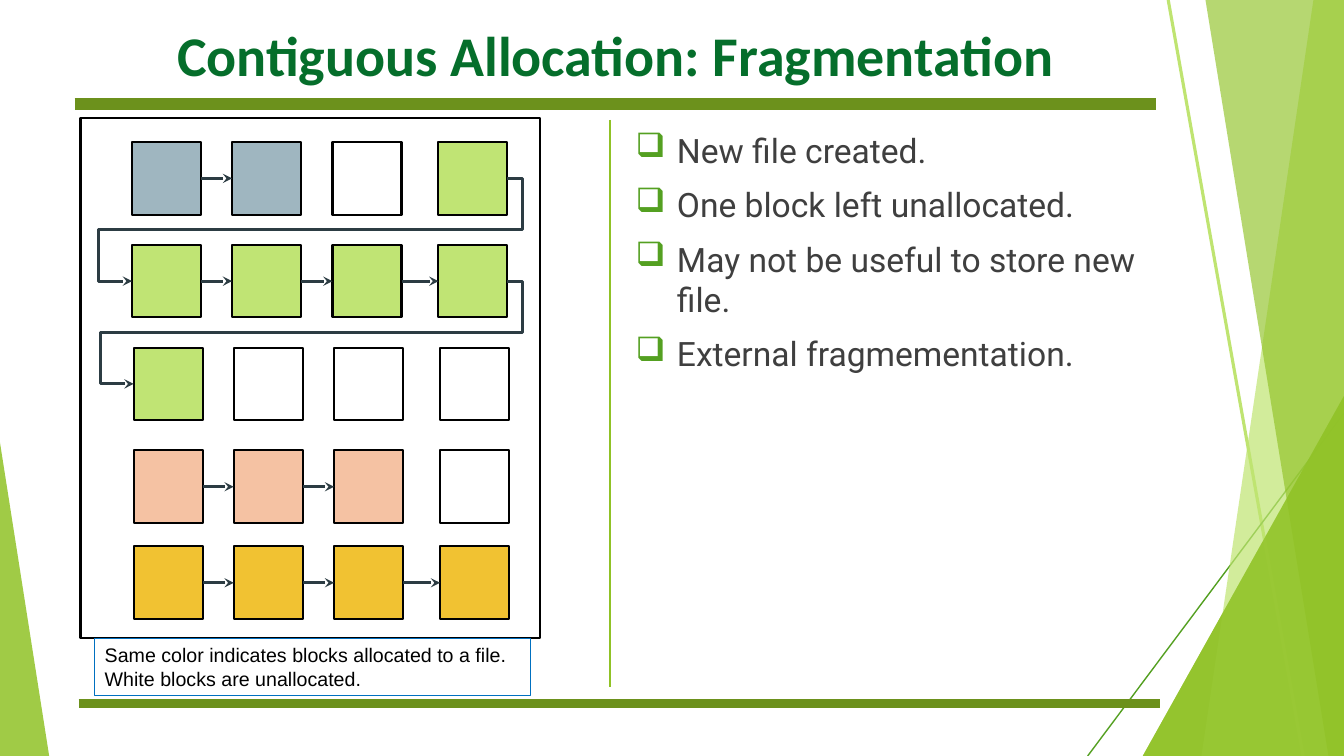
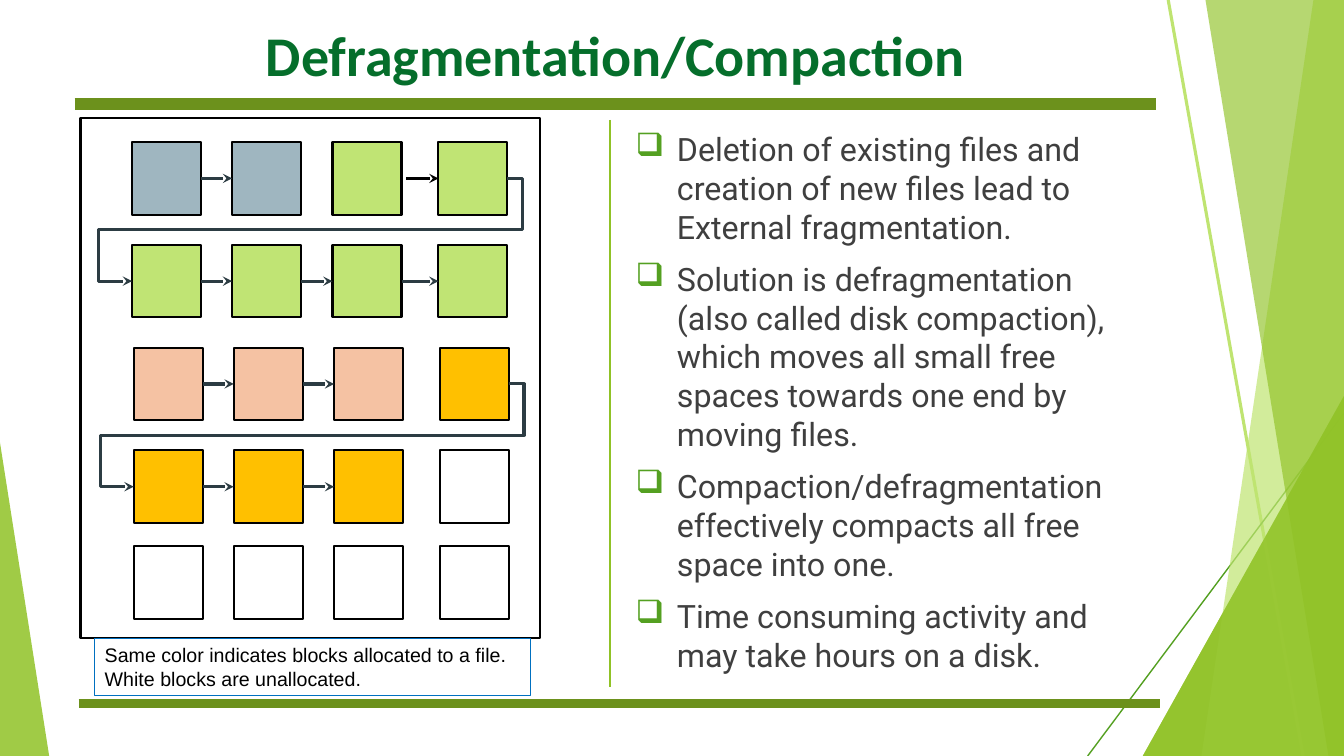
"""Build two slides on contiguous disk allocation and compaction."""
from dataclasses import dataclass, field

from lxml import etree
from pptx import Presentation
from pptx.dml.color import RGBColor
from pptx.enum import shapes, text
from pptx.oxml import ns
from pptx.util import Cm, Pt


@dataclass(frozen=True)
class Theme:
    """Hold the colours, fonts and type sizes of the deck."""
    green: str = "90C226"
    lime: str = "BFE471"
    leaf: str = "54A021"
    band: str = "6C911C"
    title: str = "056E2B"
    body: str = "3F3F3F"
    black: str = "000000"
    link: str = "2C3C43"
    note: str = "0070C0"
    head_font: str = "Calibri"
    body_font: str = "Roboto"
    note_font: str = "Arial"
    head_size: int = 40
    note_size: int = 14
    files: dict = field(default_factory=lambda: {
        "B": "9FB6C0", "G": "C0E474", "P": "F5C2A3", "Y": "F1C232", "O": "FFC000"})


THEME = Theme()
WIDE, HIGH = 33.87, 19.05
COLS = (3.33, 5.85, 8.38, 11.05)
ROWS = (3.58, 6.17, 8.76, 11.35, 13.77)
SIDE, TALL = 1.74, 1.83
NOTE = ("Same color indicates blocks allocated to a file.",
        "White blocks are unallocated.")
DECK = (
    ("Contiguous Allocation: Fragmentation", 24,
     ("New file created.",
      "One block left unallocated.",
      "May not be useful to store new file.",
      "External fragmementation."),
     ("BB.G", "GGGG", "G...", "PPP.", "YYYY"), ()),
    ("Defragmentation/Compaction", 23,
     ("Deletion of existing files and creation of new files lead to External fragmentation.",
      "Solution is defragmentation (also called disk compaction), which moves all "
      "small free spaces towards one end by moving files.",
      "Compaction/defragmentation effectively compacts all free space into one.",
      "Time consuming activity and may take hours on a disk."),
     ("BBGG", "GGGG", "PPPO", "OOO.", "...."), ((0, 2),)),
)


def rgb(code):
    """Turn a hex code into a colour."""
    return RGBColor.from_string(code)


def sub(node, tag, **attrs):
    """Append a DrawingML child to a node."""
    return etree.SubElement(node, ns.qn(tag), attrs)


def place(shape, left, top, width, height):
    """Move and size a shape in centimetres."""
    shape.left, shape.top = Cm(left), Cm(top)
    shape.width, shape.height = Cm(width), Cm(height)


def style(font, name, size, color, bold=False):
    """Set the look of a font."""
    font.name, font.size, font.bold = name, Pt(size), bold
    font.color.rgb = rgb(color)


def tint(shape, color, alpha):
    """Give a shape a see-through fill and no outline."""
    shape.shadow.inherit = False
    shape.line.fill.background()
    shape.fill.solid()
    shape.fill.fore_color.rgb = rgb(color)
    node = shape._element.spPr.find(".//" + ns.qn("a:srgbClr"))
    sub(node, "a:alpha", val=str(alpha * 1000))


def wedge(slide, box, lean, alpha):
    """Draw a triangle whose tip leans to one side."""
    shape = slide.shapes.add_shape(
        shapes.MSO_SHAPE.ISOSCELES_TRIANGLE, *map(Cm, box))
    shape.adjustments[0] = lean
    tint(shape, THEME.green, alpha)


def pane(slide, points, color, alpha):
    """Draw a see-through polygon."""
    first, *rest = [(Cm(x), Cm(y)) for x, y in points]
    build = slide.shapes.build_freeform(*first)
    build.add_line_segments(rest, close=True)
    tint(build.convert_to_shape(), color, alpha)


def line(slide, start, end, color, width, arrow=False, wrap=False):
    """Draw a straight or wrapping line, with an arrowhead if asked."""
    kind = shapes.MSO_CONNECTOR.ELBOW if wrap else shapes.MSO_CONNECTOR.STRAIGHT
    item = slide.shapes.add_connector(kind, *map(Cm, (*start, *end)))
    item.line.color.rgb = rgb(color)
    item.line.width = Pt(width)
    props = item._element.spPr
    if arrow:
        sub(props.find(ns.qn("a:ln")), "a:tailEnd", type="stealth")
    if wrap:
        shape = props.find(ns.qn("a:prstGeom"))
        shape.set("prst", "bentConnector5")
        guides = shape.find(ns.qn("a:avLst"))
        for index, value in enumerate((-4000, 50000, 108900), 1):
            sub(guides, "a:gd", name=f"adj{index}", fmla=f"val {value}")
    sub(props, "a:effectLst")


def rect(slide, box, edge, width, fill=None):
    """Draw an outlined rectangle."""
    shape = slide.shapes.add_shape(shapes.MSO_SHAPE.RECTANGLE, *map(Cm, box))
    shape.shadow.inherit = False
    shape.line.color.rgb = rgb(edge)
    shape.line.width = Pt(width)
    if fill:
        shape.fill.solid()
        shape.fill.fore_color.rgb = rgb(fill)
    else:
        shape.fill.background()
    return shape


def scene(slide):
    """Draw the facets and bands that all slides share."""
    corner = (28.8, 9.98, 5.07, 9.07)
    wedge(slide, corner, 1, 80)
    wedge(slide, (0, 11.15, 1.24, 7.9), 0, 85)
    line(slide, (29.44, 0), (32.84, HIGH), THEME.lime, 2.25)
    line(slide, (WIDE, 10.41), (27.41, HIGH), THEME.leaf, 1)
    pane(slide, ((33.1, 0), (WIDE, 0), (WIDE, HIGH), (30.28, HIGH)), THEME.lime, 70)
    pane(slide, ((30.38, 0), (WIDE, 0), (WIDE, HIGH), (33.48, HIGH)), THEME.green, 65)
    wedge(slide, corner, 1, 80)
    line(slide, (1.88, 2.62), (29.13, 2.62), THEME.band, 8.75)
    line(slide, (1.98, 17.73), (29.24, 17.73), THEME.band, 6)
    line(slide, (15.37, 3.02), (15.37, 17.3), THEME.green, 1.75)


def head(slide, words):
    """Fill and format the title."""
    title = slide.shapes.title
    place(title, 1.88, 0.08, 27.25, 2.57)
    frame = title.text_frame
    frame.text = words
    frame.vertical_anchor = text.MSO_ANCHOR.MIDDLE
    para = frame.paragraphs[0]
    para.alignment = text.PP_ALIGN.CENTER
    style(para.font, THEME.head_font, THEME.head_size, THEME.title, True)


def points(slide, items, size):
    """Write the bulleted list."""
    frame = slide.shapes.add_textbox(*map(Cm, (15.54, 3.02, 13.46, 14.27))).text_frame
    frame.word_wrap = True
    frame.margin_left = frame.margin_right = Cm(0.25)
    frame.margin_top = frame.margin_bottom = Cm(0.25)
    frame.text = "\n".join(items)
    for para in frame.paragraphs:
        para.space_before = Pt(10)
        props = para._p.get_or_add_pPr()
        props.set("marL", str(Cm(1.27)))
        props.set("indent", str(Cm(-1.04)))
        sub(sub(props, "a:buClr"), "a:srgbClr", val=THEME.leaf)
        sub(props, "a:buChar", char="❑")
        style(para.font, THEME.body_font, size, THEME.body)


def spot(row, col):
    """Return the top left corner of a block."""
    return COLS[col] + (0.04 if row > 1 else 0), ROWS[row]


def disk(slide, plan, dark):
    """Draw the blocks and link each file's blocks in reading order."""
    rect(slide, (2.03, 2.97, 11.58, 13.11), THEME.black, 1.5)
    cells = [(row, col) for row in range(len(ROWS)) for col in range(len(COLS))]
    for row, col in cells:
        rect(slide, (*spot(row, col), SIDE, TALL), THEME.black, 1.5,
             THEME.files.get(plan[row][col]))
    for cell, after in zip(cells, cells[1:]):
        mark = plan[cell[0]][cell[1]]
        if mark == "." or mark != plan[after[0]][after[1]]:
            continue
        (left, top), (right, low) = spot(*cell), spot(*after)
        gap = 0.12 if cell in dark else 0
        line(slide, (left + SIDE + gap, top + TALL / 2), (right, low + TALL / 2),
             THEME.black if cell in dark else THEME.link, 2.25, True,
             cell[0] != after[0])


def note(slide):
    """Write the key below the disk."""
    frame = rect(slide, (2.39, 16.08, 10.97, 1.45), THEME.note, 0.75).text_frame
    frame.word_wrap = True
    frame.vertical_anchor = text.MSO_ANCHOR.MIDDLE
    frame.text = "\n".join(NOTE)
    for para in frame.paragraphs:
        para.alignment = text.PP_ALIGN.LEFT
        style(para.font, THEME.note_font, THEME.note_size, THEME.black)


def main():
    """Build and save the deck."""
    deck = Presentation()
    deck.slide_width, deck.slide_height = Cm(WIDE), Cm(HIGH)
    for title, size, items, plan, dark in DECK:
        slide = deck.slides.add_slide(deck.slide_layouts[5])
        scene(slide)
        head(slide, title)
        points(slide, items, size)
        disk(slide, plan, dark)
        note(slide)
    deck.save("out.pptx")


if __name__ == "__main__":
    main()
